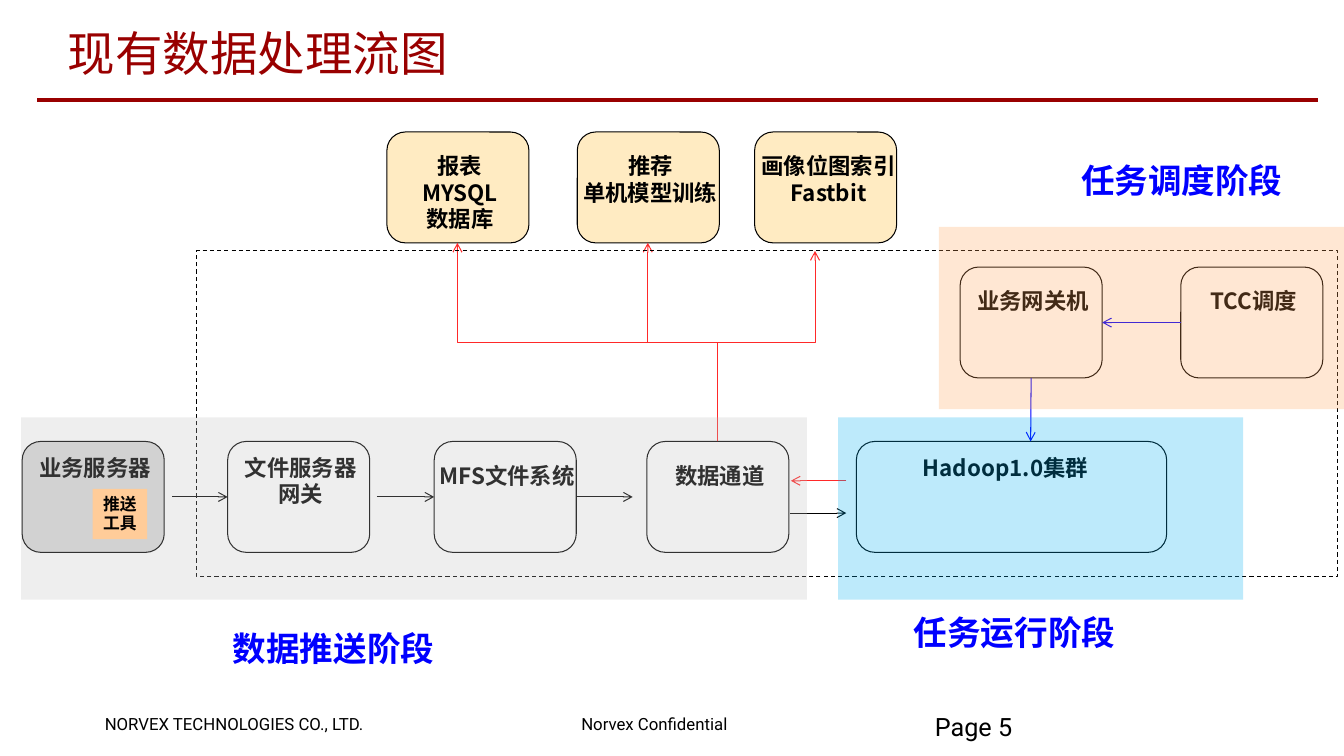
from dataclasses import dataclass

from lxml import etree
from pptx import Presentation
from pptx import util as u
from pptx.dml.color import RGBColor
from pptx.enum import dml, shapes, text
from pptx.oxml.ns import qn

COLS, ROWS = 133.4, 75  # grid over a 13.34 x 7.5 inch slide
TOP, LEFT, BOTTOM, RIGHT = range(4)


@dataclass(frozen=True)
class Theme:
    latin: str = "Roboto"
    cjk: str = "Noto Sans CJK SC"
    black: str = "000000"
    title: str = "990000"
    stage: str = "0000FF"
    export: str = "FF2929"
    store: str = "FFEBC2"
    server: str = "D9D9D9"
    tool: str = "FFCC99"
    push_zone: str = "BFBFBF"
    run_zone: str = "00B0F0"
    schedule_zone: str = "FFA358"
    title_size: int = 34
    stage_size: int = 24
    page_size: int = 18
    node_size: int = 16
    small_size: int = 12
    thin: float = 0.75
    thick: float = 3


class FlowSlide:
    def __init__(self, prs, theme):
        self.prs, self.theme = prs, theme
        self.s = prs.slides.add_slide(prs.slide_layouts[5])

    def x(self, cols):
        return u.Emu(round(self.prs.slide_width * cols / COLS))

    def y(self, rows):
        return u.Emu(round(self.prs.slide_height * rows / ROWS))

    def box(self, x, y, w, h):
        return self.x(x), self.y(y), self.x(w), self.y(h)

    def set_text(self, tf, lines, size, color, font, bold=False, align=text.PP_ALIGN.LEFT,
                 spacing=None, margins=(1, 0.5), wrap=False):
        tf.word_wrap = wrap
        tf.auto_size = text.MSO_AUTO_SIZE.NONE
        tf.margin_left = tf.margin_right = self.x(margins[0])
        tf.margin_top = tf.margin_bottom = self.y(margins[1])
        for i, line in enumerate(lines):
            p = tf.add_paragraph() if i else tf.paragraphs[0]
            p.text = line
            p.alignment = align
            if spacing:
                p.line_spacing = spacing
            p.font.size, p.font.bold, p.font.name = u.Pt(size), bold, font
            p.font.color.rgb = RGBColor.from_string(color)
            etree.SubElement(p.font._rPr, qn("a:ea"), typeface=self.theme.cjk)

    def title(self, words, x, y, w, h):
        t = self.s.shapes.title
        t.left, t.top, t.width, t.height = self.box(x, y, w, h)
        t.text_frame.vertical_anchor = text.MSO_ANCHOR.MIDDLE
        self.set_text(t.text_frame, [words], self.theme.title_size, self.theme.title,
                      self.theme.latin, margins=(0.9, 0.4), wrap=True)

    def footer(self, words, x, y, w, h, size, **style):
        tb = self.s.shapes.add_textbox(*self.box(x, y, w, h))
        self.set_text(tb.text_frame, [words], size, self.theme.black, self.theme.latin, **style)

    def label(self, lines, x, y, w, size, color, wrap=False):
        """Bold centred text whose height follows from its number of lines."""
        tb = self.s.shapes.add_textbox(*self.box(x, y, w, 1 + len(lines) * size / 6))
        self.set_text(tb.text_frame, lines, size, color, self.theme.cjk, bold=True,
                      align=text.PP_ALIGN.CENTER, spacing=u.Pt(round(size * 1.17, 1)), wrap=wrap)

    def stage(self, words, x, y):
        self.label([words], x, y, 22.2, self.theme.stage_size, self.theme.stage)

    def shape(self, kind, x, y, w, h, fill=None, line=None, dash=None, alpha=None):
        sp = self.s.shapes.add_shape(kind, *self.box(x, y, w, h))
        sp.shadow.inherit = False
        if fill:
            sp.fill.solid()
            sp.fill.fore_color.rgb = RGBColor.from_string(fill)
        else:
            sp.fill.background()
        if alpha:
            rgb = sp._element.spPr.find(qn("a:solidFill")).find(qn("a:srgbClr"))
            etree.SubElement(rgb, qn("a:alpha"), val=str(alpha * 1000))
        if line:
            sp.line.color.rgb = RGBColor.from_string(line)
            sp.line.width = u.Pt(self.theme.thin)
        else:
            sp.line.fill.background()
        if dash:
            sp.line.dash_style = dash
        return sp

    def node(self, lines, x, y, w=14.1, drop=1.6, text_w=15.5, shift=0.2, fill=None, wrap=False):
        """Rounded box with a label `drop` rows below its top, centred but for `shift`."""
        sp = self.shape(shapes.MSO_SHAPE.ROUNDED_RECTANGLE, x, y, w, 11, fill, self.theme.black)
        self.label(lines, x + (w - text_w) / 2 + shift, y + drop, text_w,
                   self.theme.node_size, self.theme.black, wrap)
        return sp

    def zone(self, x, y, w, color):
        self.shape(shapes.MSO_SHAPE.RECTANGLE, x, y, w, 18.1, color, alpha=26)

    def connector(self, kind, x1, y1, x2, y2, color, width, arrow):
        c = self.s.shapes.add_connector(kind, self.x(x1), self.y(y1), self.x(x2), self.y(y2))
        c.line.color.rgb = RGBColor.from_string(color)
        c.line.width = u.Pt(width)
        if arrow:
            etree.SubElement(c.line._get_or_add_ln(), qn("a:tailEnd"), type="arrow")
        etree.SubElement(c._element.spPr, qn("a:effectLst"))
        return c

    def rule(self, x1, x2, y):
        self.connector(shapes.MSO_CONNECTOR.STRAIGHT, x1, y, x2, y,
                       self.theme.title, self.theme.thick, False)

    def arrow(self, x1, y1, x2, y2, color=None, begin=None, end=None):
        c = self.connector(shapes.MSO_CONNECTOR.STRAIGHT, x1, y1, x2, y2,
                           color or self.theme.black, self.theme.thin, True)
        if begin:
            c.begin_connect(*begin)
        if end:
            c.end_connect(*end)

    def riser(self, x1, y1, x2, y2, bend):
        """Elbow arrow going up, across at row `bend`, and up: drawn sideways, then turned 270 degrees."""
        cx, cy, rise, run = (x1 + x2) / 2, (y1 + y2) / 2, y1 - y2, x2 - x1
        c = self.connector(shapes.MSO_CONNECTOR.ELBOW, cx - rise / 2, cy - run / 2,
                           cx + rise / 2, cy + run / 2, self.theme.export, self.theme.thin, True)
        c._element.spPr.find(qn("a:xfrm")).set("rot", str(270 * 60000))
        guides = c._element.spPr.find(qn("a:prstGeom")).get_or_add_avLst()
        etree.SubElement(guides, qn("a:gd"), name="adj1",
                         fmla=f"val {round((y1 - bend) / rise * 100000)}")


def main():
    prs, th = Presentation(), Theme()
    prs.slide_width, prs.slide_height = u.Inches(13.34), u.Inches(7.5)
    f = FlowSlide(prs, th)

    f.title("现有数据处理流图", 5.8, 0.5, 113, 9.5)
    f.rule(3.7, 130.8, 9.9)
    f.footer("NORVEX TECHNOLOGIES CO., LTD.", 9.5, 70.4, 28.6, 2.9, th.small_size, margins=(0.9, 0.4))
    f.footer("Norvex Confidential", 56.8, 70.4, 18, 2.9, th.small_size, margins=(0.9, 0.4))
    f.footer("Page 5", 92.8, 71, 30.6, 5, th.page_size, margins=(0, 0), spacing=0.85, wrap=True)

    flow, schedule, stores = 43.8, 26.5, 13.1
    f.node(["业务服务器"], 2.2, flow, drop=0.8, fill=th.server)
    file_gateway = f.node(["文件服务器", "网关"], 22.6, flow, drop=0.8)
    mfs = f.node(["MFS文件系统"], 43.1, flow, text_w=15.9)
    f.node(["数据通道"], 64.2, flow)
    f.node(["Hadoop1.0集群"], 85, flow, w=30.8, drop=0.8, text_w=19, shift=-0.6)
    task_gateway = f.node(["业务网关机"], 95.3, schedule)
    tcc = f.node(["TCC调度"], 117.2, schedule, text_w=10.8, wrap=True)
    f.node(["报表", "MYSQL", "数据库"], 38.4, stores, fill=th.store)
    f.node(["推荐", "单机模型训练"], 57.3, stores, fill=th.store)
    f.node(["画像位图索引", "Fastbit"], 74.9, stores, shift=0.3, fill=th.store)

    middle = flow + 5.5
    f.arrow(17.1, middle, 22.6, middle, end=(file_gateway, LEFT))
    f.arrow(37.4, middle, 43.1, middle, end=(mfs, LEFT))
    f.arrow(57.2, middle, 62.8, middle, begin=(mfs, RIGHT))
    f.arrow(78.4, 50.9, 84, 50.9)
    f.arrow(84, 47.7, 78.5, 47.7, th.export)
    f.arrow(102.3, 37.5, 102.3, flow, th.stage, begin=(task_gateway, BOTTOM))
    f.arrow(117.2, 32, 109.4, 32, th.stage, begin=(tcc, LEFT), end=(task_gateway, RIGHT))
    for x, y in ((45.4, 24.1), (80.9, 24.9), (64.3, 24.1)):
        f.riser(71.2, flow, x, y, bend=34)

    f.shape(shapes.MSO_SHAPE.RECTANGLE, 19.5, 24.9, 113.3, 32.3,
            line=th.black, dash=dml.MSO_LINE.DASH)
    f.zone(2.1, 41.4, 78, th.push_zone)
    f.zone(83.2, 41.4, 40.2, th.run_zone)
    f.zone(93.2, 22.5, 40.2, th.schedule_zone)
    f.stage("数据推送阶段", 22, 61.9)
    f.stage("任务调度阶段", 106.2, 15.5)
    f.stage("任务运行阶段", 89.6, 60.3)

    f.shape(shapes.MSO_SHAPE.RECTANGLE, 9.2, 48.5, 5.4, 5, th.tool)
    f.label(["推送", "工具"], 9.2, 48.5, 5.4, th.small_size, th.black)
    prs.save("out.pptx")


if __name__ == "__main__":
    main()
